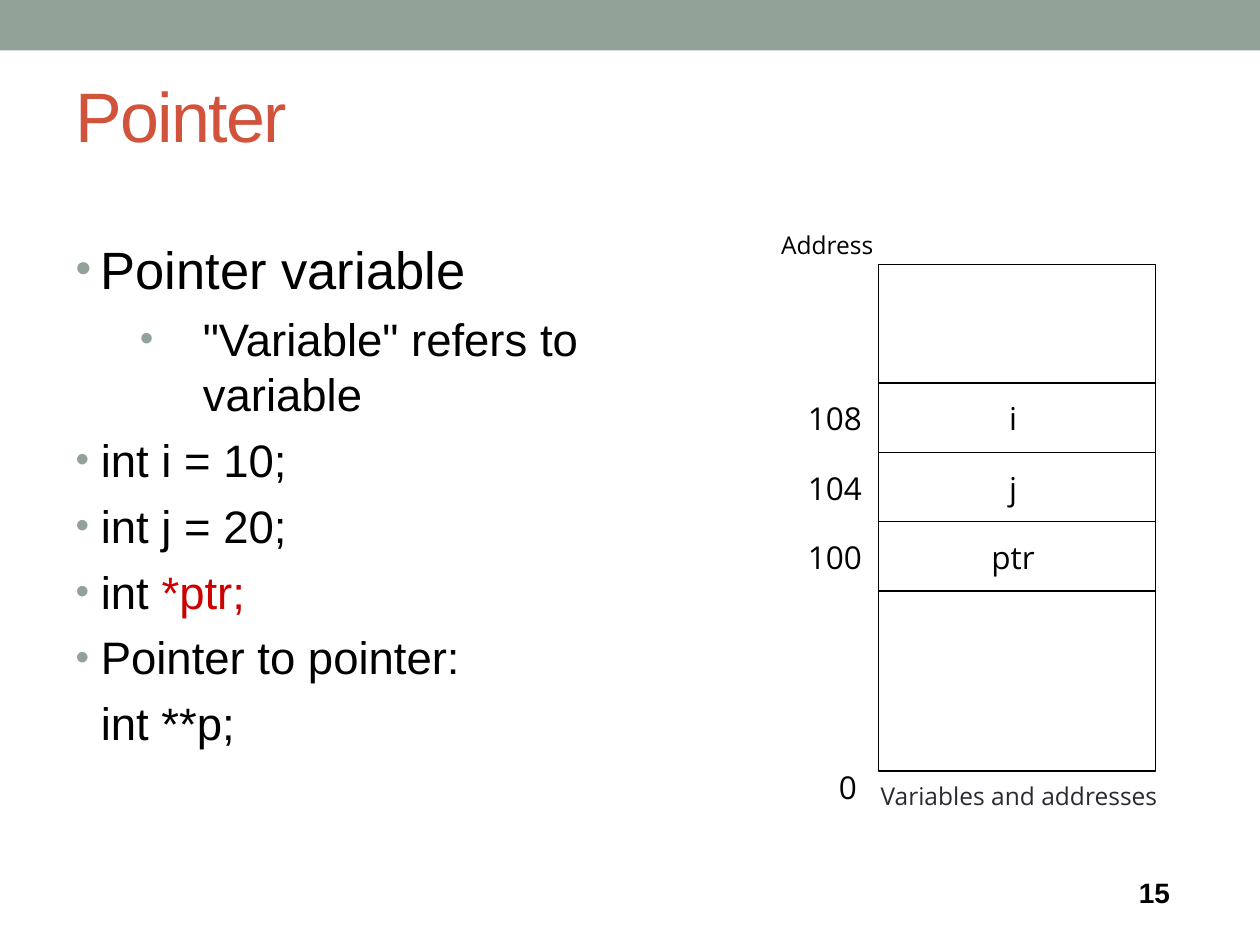
from lxml import etree
from pptx import Presentation
from pptx.dml.color import RGBColor
from pptx.enum.shapes import MSO_SHAPE
from pptx.enum.text import MSO_ANCHOR, MSO_AUTO_SIZE, PP_ALIGN
from pptx.oxml.ns import qn
from pptx.util import Inches, Pt

RECTANGLE = MSO_SHAPE.RECTANGLE
TOP, MIDDLE = MSO_ANCHOR.TOP, MSO_ANCHOR.MIDDLE
LEFT, CENTER, RIGHT = PP_ALIGN.LEFT, PP_ALIGN.CENTER, PP_ALIGN.RIGHT
NO_FIT = MSO_AUTO_SIZE.NONE

COLORS = {
    "sage": "93A299",
    "brick": "D2533C",
    "red": "CC0000",
    "black": "000000",
    "slate": "292934",
}
COLUMNS, ROWS = 100, 75
HEADING_FONT, DIAGRAM_FONT = "Arial", "Open Sans"


class SlideBuilder:
    def __init__(self, deck):
        self.column = deck.slide_width / COLUMNS
        self.row = deck.slide_height / ROWS
        self.slide = deck.slides.add_slide(deck.slide_layouts[1])

    def area(self, left, top, width, height):
        return (round(left * self.column), round(top * self.row),
                round(width * self.column), round(height * self.row))

    def place(self, shape, *grid):
        shape.left, shape.top, shape.width, shape.height = self.area(*grid)

    def style(self, span, size, color, font, bold=False):
        span.font.size = Pt(size)
        span.font.name = font
        span.font.bold = bold
        span.font.color.rgb = RGBColor.from_string(COLORS[color])

    def rectangle(self, *grid, fill=None, line=None):
        box = self.slide.shapes.add_shape(RECTANGLE, *self.area(*grid))
        box.shadow.inherit = False
        if fill:
            box.fill.solid()
            box.fill.fore_color.rgb = RGBColor.from_string(COLORS[fill])
        else:
            box.fill.background()
        if line:
            box.line.color.rgb = RGBColor.from_string(COLORS[line])
            box.line.width = Pt(0.75)
        else:
            box.line.fill.background()

    def label(self, text, *grid, size=18, color="black", font=DIAGRAM_FONT,
              align=LEFT, anchor=TOP, bold=False):
        box = self.slide.shapes.add_textbox(*self.area(*grid))
        frame = box.text_frame
        frame.text = text
        frame.word_wrap = False
        frame.vertical_anchor = anchor
        para = frame.paragraphs[0]
        para.alignment = align
        self.style(para.runs[0], size, color, font, bold)

    def title(self, text, *grid):
        box = self.slide.shapes.title
        self.place(box, *grid)
        frame = box.text_frame
        frame.text = text
        frame.auto_size = NO_FIT
        frame.vertical_anchor = MIDDLE
        para = frame.paragraphs[0]
        para.alignment = LEFT
        span = para.runs[0]
        self.style(span, 40, "brick", HEADING_FONT)
        span.font._element.set("spc", "-100")

    def bullet(self, para, margin, indent, marked):
        properties = para._p.get_or_add_pPr()
        properties.set("marL", str(Inches(margin)))
        properties.set("indent", str(Inches(indent)))
        if not marked:
            etree.SubElement(properties, qn("a:buNone"))
            return
        color = etree.SubElement(properties, qn("a:buClr"))
        etree.SubElement(color, qn("a:srgbClr"), val=COLORS["sage"])
        etree.SubElement(properties, qn("a:buSzPct"), val="85000")
        etree.SubElement(properties, qn("a:buFont"), typeface=HEADING_FONT)
        etree.SubElement(properties, qn("a:buChar"), char="•")

    def body(self, items, *grid):
        box = self.slide.placeholders[1]
        self.place(box, *grid)
        frame = box.text_frame
        frame.auto_size = NO_FIT
        for index, (spans, size, level, marked) in enumerate(items):
            para = frame.paragraphs[0] if index == 0 else frame.add_paragraph()
            para.level = level
            para.alignment = LEFT
            para.space_before = Pt(6.5)
            margin, indent = (1.01, -0.5) if level else (0.2, -0.2)
            self.bullet(para, margin, indent if marked else 0, marked)
            for text, color in spans:
                span = para.add_run()
                span.text = text
                self.style(span, size, color, HEADING_FONT)

    def memory(self, left, top, width, height, first_row, cell_height, cells):
        self.rectangle(left, top, width, height, line="black")
        for index, (address, name) in enumerate(cells):
            cell_top = first_row + index * cell_height
            self.rectangle(left, cell_top, width, cell_height, line="black")
            self.label(name, left, cell_top + 0.8, width - 0.6, 4, align=CENTER)
            self.label(address, left - 7.1, cell_top + 0.8, 6.8, 4, align=RIGHT)


def main():
    deck = Presentation()
    deck.slide_width, deck.slide_height = Inches(10), Inches(7.5)
    page = SlideBuilder(deck)
    page.rectangle(0, 0, COLUMNS, 4, fill="sage")
    page.title("Pointer", 5, 4.4, 90, 9.4)
    page.body([
        ([("Pointer variable", "black")], 30, 0, True),
        ([('"Variable" refers to variable', "black")], 26, 1, True),
        ([("int i = 10;", "black")], 26, 0, True),
        ([("int j = 20;", "black")], 26, 0, True),
        ([("int ", "black"), ("*ptr;", "red")], 26, 0, True),
        ([("Pointer to pointer:", "black")], 26, 0, True),
        ([("int **p;", "black")], 26, 0, False),
    ], 5, 18.3, 44.2, 51.6)
    page.memory(69.7, 21, 22, 40.2, 30.4, 5.5,
                [("108", "i"), ("104", "j"), ("100", "ptr")])
    page.label("Address", 61, 17.8, 9.8, 3.3, size=14)
    page.label("0", 65.6, 60.5, 3.6, 4)
    page.label("Variables and addresses", 68.9, 61.5, 26.6, 4, size=14, color="slate")
    page.label("15", 89.4, 69, 7.1, 3.6, size=16, font=HEADING_FONT,
               anchor=MIDDLE, bold=True)
    deck.save("out.pptx")


if __name__ == "__main__":
    main()
